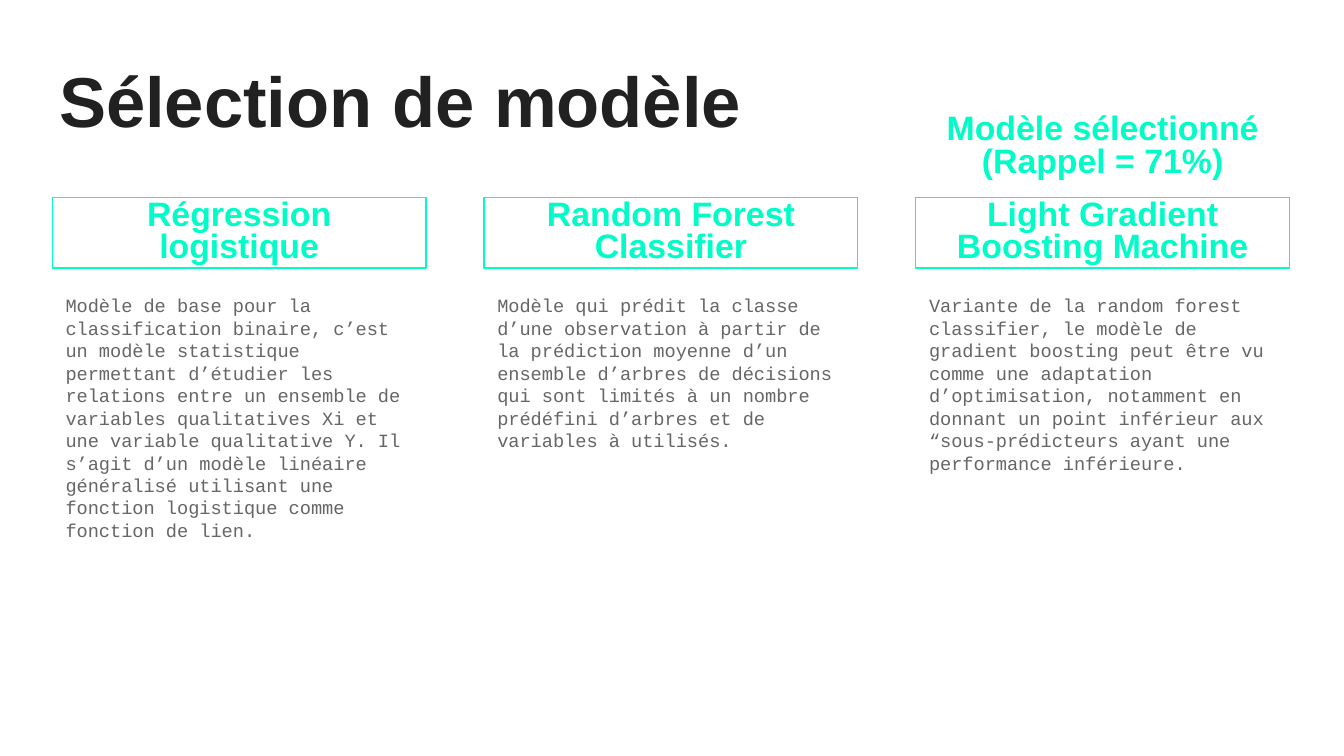
"""Build the model selection slide comparing three classifiers."""
import pptx
import pptx.dml.color
import pptx.enum.shapes
import pptx.enum.text
import pptx.util

MINT = pptx.dml.color.RGBColor(0x00, 0xFD, 0xC8)
DARK = pptx.dml.color.RGBColor(0x21, 0x21, 0x21)
GREY = pptx.dml.color.RGBColor(0x66, 0x66, 0x66)
WHITE = pptx.dml.color.RGBColor(0xFF, 0xFF, 0xFF)

Pt = pptx.util.Pt
ALIGN = pptx.enum.text.PP_ALIGN
ANCHOR = pptx.enum.text.MSO_ANCHOR

COLUMN_LEFT, COLUMN_STEP, COLUMN_WIDTH = 28, 231.3, 200.2
LABEL_HEIGHT = 37.6

MODELS = [
    (
        "Régression logistique",
        "Modèle de base pour la classification binaire, c’est un modèle statistique "
        "permettant d’étudier les relations entre un ensemble de variables qualitatives "
        "Xi et une variable qualitative Y. Il s’agit d’un modèle linéaire généralisé "
        "utilisant une fonction logistique comme fonction de lien.",
    ),
    (
        "Random Forest Classifier",
        "Modèle qui prédit la classe d’une observation à partir de la prédiction moyenne "
        "d’un ensemble d’arbres de décisions qui sont limités à un nombre prédéfini "
        "d’arbres et de variables à utilisés.",
    ),
    (
        "Light Gradient Boosting Machine",
        "Variante de la random forest classifier, le modèle de gradient boosting peut "
        "être vu comme une adaptation d’optimisation, notamment en donnant un point "
        "inférieur aux “sous-prédicteurs ayant une performance inférieure.",
    ),
]


def write_text(shape, text, font, size, color, bold, align, anchor, spacing):
    frame = shape.text_frame
    frame.text = text
    frame.word_wrap = True
    frame.auto_size = pptx.enum.text.MSO_AUTO_SIZE.NONE
    frame.vertical_anchor = anchor
    frame.margin_left = frame.margin_right = Pt(7.2)
    frame.margin_top = frame.margin_bottom = Pt(7.2)
    para = frame.paragraphs[0]
    para.alignment = align
    para.line_spacing = spacing
    span = para.runs[0]
    span.font.name = font
    span.font.size = Pt(size)
    span.font.bold = bold
    span.font.color.rgb = color


def add_label(page, left, top, text, line_color):
    label = page.shapes.add_shape(
        pptx.enum.shapes.MSO_SHAPE.RECTANGLE,
        Pt(left), Pt(top), Pt(COLUMN_WIDTH), Pt(LABEL_HEIGHT),
    )
    label.shadow.inherit = False
    label.fill.solid()
    label.fill.fore_color.rgb = WHITE
    label.line.color.rgb = line_color
    label.line.width = Pt(0.75)
    write_text(label, text, "Arial", 18.1, MINT, True, ALIGN.CENTER, ANCHOR.MIDDLE, 0.8)


deck = pptx.Presentation()
deck.slide_width, deck.slide_height = Pt(720), Pt(405)
page = deck.slides.add_slide(deck.slide_layouts[5])

title = page.shapes.title
title.left, title.top, title.width, title.height = Pt(24.5), Pt(23.4), Pt(671), Pt(63.4)
write_text(title, "Sélection de modèle", "Arial", 37.8, DARK, True, ALIGN.LEFT, ANCHOR.TOP, 1.0)

for index, (name, description) in enumerate(MODELS):
    left = COLUMN_LEFT + index * COLUMN_STEP
    add_label(page, left, 106, name, MINT)
    box = page.shapes.add_textbox(Pt(left), Pt(150.5), Pt(COLUMN_WIDTH), Pt(84.2))
    write_text(box, description, "Courier New", 10, GREY, False, ALIGN.LEFT, ANCHOR.TOP, 1.0)

selected_left = COLUMN_LEFT + (len(MODELS) - 1) * COLUMN_STEP
add_label(page, selected_left, 60, "Modèle sélectionné (Rappel = 71%)", WHITE)

deck.save("out.pptx")
